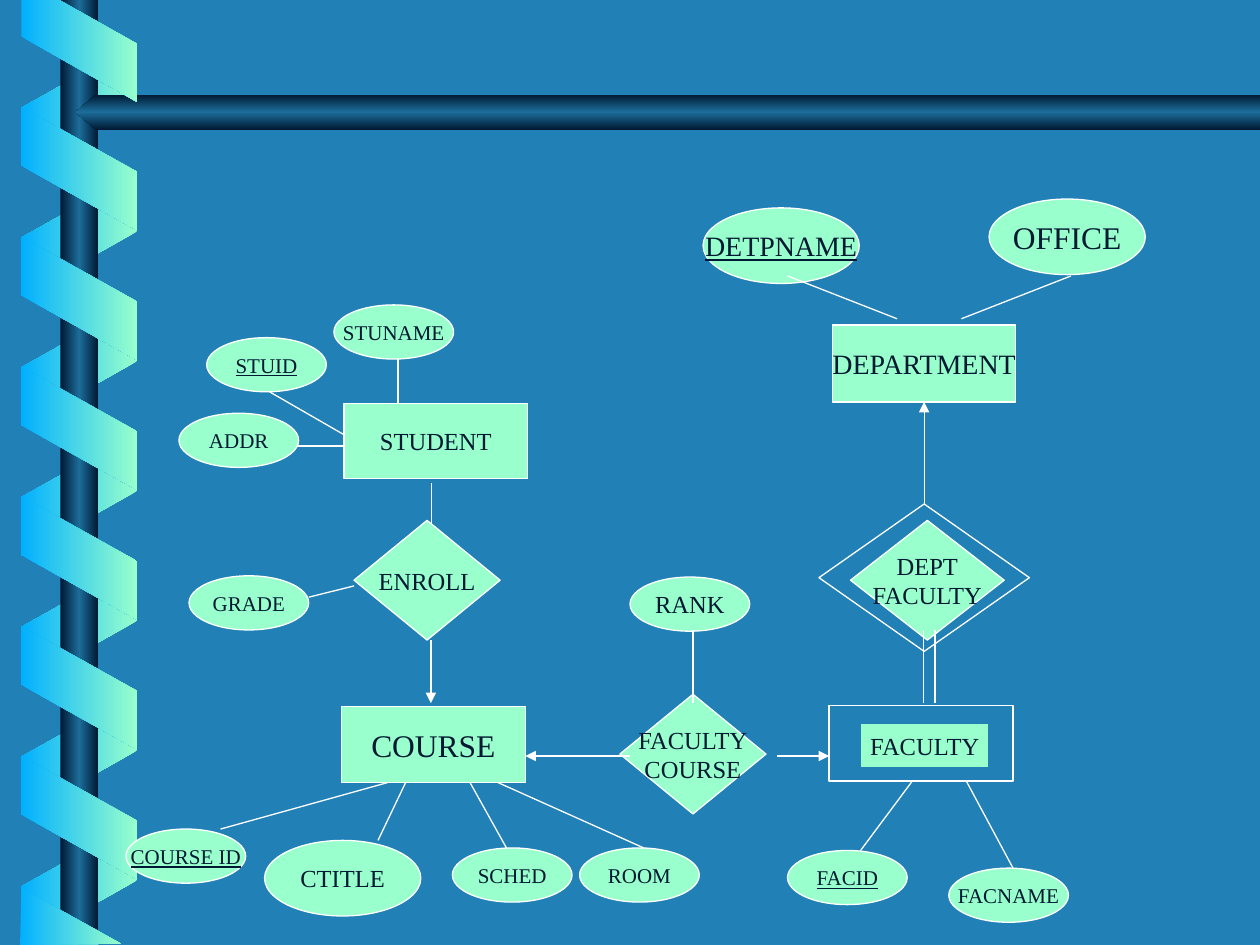
from lxml import etree
from pptx import Presentation
from pptx.dml.color import RGBColor
from pptx.enum.shapes import MSO_CONNECTOR, MSO_SHAPE
from pptx.enum.text import MSO_ANCHOR, PP_ALIGN
from pptx.oxml.ns import qn
from pptx.util import Inches, Pt

ELLIPSE, RECT, DIAMOND = MSO_SHAPE.OVAL, MSO_SHAPE.RECTANGLE, MSO_SHAPE.DIAMOND
PARALLELOGRAM, STRAIGHT = MSO_SHAPE.PARALLELOGRAM, MSO_CONNECTOR.STRAIGHT
CENTER, MIDDLE = PP_ALIGN.CENTER, MSO_ANCHOR.MIDDLE

BLUE = RGBColor(0x21, 0x81, 0xB7)
MINT = RGBColor(0x99, 0xFF, 0xCC)
SKY = RGBColor(0x01, 0xB0, 0xFF)
NAVY = RGBColor(0x00, 0x19, 0x32)
STEEL = RGBColor(0x1C, 0x6D, 0x9A)
WHITE = RGBColor(0xFF, 0xFF, 0xFF)
FONT = "Times New Roman"
WIDTH, HEIGHT = 10, 7.5

# Spiral binding
COIL_STEP = 1.03
COIL_LEFT, COIL_LENGTH, COIL_DEPTH, COIL_SLANT = 0.14, 0.98, 0.92, 0.56
BACK_COILS, FRONT_COILS = 7, 6
TOP_COIL = [(0.17, 0), (0.17, 0.29), (1.09, 0.81), (1.09, 0.35), (0.47, 0)]
BOTTOM_COIL = [(0.96, 7.49), (0.17, 7.05), (0.16, 7.5)]
CROSSBAR = [(10, 0.75), (0.76, 0.75), (0.6, 0.89), (0.76, 1.03), (10, 1.03)]

# Attributes: text, left, top, font size, is key
LARGE, SMALL = (1.24, 0.6), (0.95, 0.43)
ATTRIBUTES = {
    LARGE: [
        ("DETPNAME", 5.58, 1.65, 16, True),
        ("OFFICE", 7.85, 1.58, 18, False),
        ("CTITLE", 2.1, 6.67, 14, False),
    ],
    SMALL: [
        ("STUNAME", 2.65, 2.42, 12, False),
        ("ADDR", 1.42, 3.28, 12, False),
        ("STUID", 1.64, 2.68, 12, True),
        ("GRADE", 1.5, 4.57, 12, False),
        ("FACID", 6.25, 6.75, 12, True),
        ("SCHED", 3.59, 6.73, 12, False),
        ("FACNAME", 7.53, 6.89, 12, False),
        ("COURSE ID", 1, 6.58, 12, True),
        ("ROOM", 4.6, 6.73, 12, False),
        ("RANK", 5, 4.58, 14, False),
    ],
}
ENTITY_SIZE = (1.46, 0.6)
ENTITIES = [("STUDENT", 2.73, 3.2, 14), ("COURSE", 2.71, 5.61, 18)]
# Relationships: text, left, top, width
RELATIONSHIP_HEIGHT = 0.95
RELATIONSHIPS = [
    ("DEPT\nFACULTY", 6.75, 4.13, 1.22),
    ("ENROLL", 2.81, 4.13, 1.16),
    ("FACULTY\nCOURSE", 4.92, 5.51, 1.16),
]
LINKS = [
    ((7.63, 2.53), (8.5, 2.19)),
    ((7.12, 2.53), (6.25, 2.19)),
    ((3.16, 2.85), (3.16, 3.2)),
    ((2.14, 3.11), (2.73, 3.45)),
    ((2.36, 3.54), (2.73, 3.54)),
    ((2.81, 4.65), (2.45, 4.74)),
    ((3.08, 6.21), (1.75, 6.58)),
    ((3.22, 6.21), (3, 6.67)),
    ((3.73, 6.21), (4.02, 6.73)),
    ((3.95, 6.21), (5.11, 6.73)),
    ((6.83, 6.75), (7.24, 6.2)),
    ((7.67, 6.2), (8.04, 6.89)),
    ((5.5, 5), (5.5, 5.58)),
    ((7.42, 5.58), (7.42, 5)),
    ((7.33, 5.58), (7.33, 5)),
]
HAIRLINE_LINK = ((3.42, 4.17), (3.42, 3.83))
ARROWS = [
    ((3.42, 5.08), (3.42, 5.58)),
    ((5, 6), (4.17, 6)),
    ((6.17, 6), (6.58, 6)),
]


def fill_gradient(shape, colors, angle=0):
    """Spread the colours evenly, at an angle that ignores the shape's rotation."""
    shape.shadow.inherit = False
    shape.line.fill.background()
    shape.fill.gradient()
    shape.fill.gradient_angle = angle
    gradient = shape.element.spPr.find(qn("a:gradFill"))
    gradient.set("rotWithShape", "0")
    stops = gradient.find(qn("a:gsLst"))
    for stop in list(stops):
        stops.remove(stop)
    for i, color in enumerate(colors):
        position = str(100000 * i // (len(colors) - 1))
        stop = etree.SubElement(stops, qn("a:gs"), pos=position)
        etree.SubElement(stop, qn("a:srgbClr"), val=str(color))


def add_outline(shapes, corners, colors, angle=0):
    start, *rest = [(Inches(x), Inches(y)) for x, y in corners]
    builder = shapes.build_freeform(*start)
    builder.add_line_segments(rest, close=True)
    fill_gradient(builder.convert_to_shape(), colors, angle)


def add_coil(shapes, top, rotation, colors, flipped=False):
    coil = shapes.add_shape(PARALLELOGRAM, Inches(COIL_LEFT), Inches(top),
                            Inches(COIL_LENGTH), Inches(COIL_DEPTH))
    coil.adjustments[0] = COIL_SLANT
    coil.rotation = rotation
    if flipped:
        coil.element.spPr.find(qn("a:xfrm")).set("flipH", "1")
    fill_gradient(coil, colors)


def add_binding(shapes):
    bar_colors = [NAVY, STEEL, NAVY]
    for i in range(BACK_COILS):
        add_coil(shapes, 0.37 + i * COIL_STEP, 90, [MINT, SKY], flipped=True)
    post = shapes.add_shape(RECT, Inches(0.48), 0, Inches(0.3), Inches(HEIGHT))
    fill_gradient(post, bar_colors)
    add_outline(shapes, CROSSBAR, bar_colors, angle=90)
    for i in range(FRONT_COILS):
        add_coil(shapes, 0.88 + i * COIL_STEP, 270, [SKY, MINT])
    for corners in (TOP_COIL, BOTTOM_COIL):
        add_outline(shapes, corners, [SKY, MINT])


def write(shape, text, size, underline=False):
    frame = shape.text_frame
    frame.word_wrap = False
    frame.vertical_anchor = MIDDLE
    frame.text = text
    for paragraph in frame.paragraphs:
        paragraph.alignment = CENTER
        font = paragraph.runs[0].font
        font.name, font.size, font.color.rgb = FONT, Pt(size), NAVY
        if underline:
            font.underline = True


def add_node(shapes, kind, box, text="", size=14, underline=False,
             fill=MINT, border=WHITE):
    node = shapes.add_shape(kind, *map(Inches, box))
    node.shadow.inherit = False
    node.line.color.rgb, node.line.width = border, Pt(0.75)
    if fill is None:
        node.fill.background()
    else:
        node.fill.solid()
        node.fill.fore_color.rgb = fill
    if text:
        write(node, text, size, underline)
    return node


def add_link(shapes, start, end, width=0.75, arrow=False):
    link = shapes.add_connector(STRAIGHT, *map(Inches, (*start, *end)))
    link.line.color.rgb, link.line.width = WHITE, Pt(width)
    properties = link.element.spPr
    if arrow:
        etree.SubElement(properties.find(qn("a:ln")), qn("a:tailEnd"), type="triangle")
    etree.SubElement(properties, qn("a:effectLst"))
    return link


def main():
    deck = Presentation()
    deck.slide_width, deck.slide_height = Inches(WIDTH), Inches(HEIGHT)
    slide = deck.slides.add_slide(deck.slide_layouts[6])
    slide.background.fill.solid()
    slide.background.fill.fore_color.rgb = BLUE
    shapes = slide.shapes
    add_binding(shapes)

    for extent, attributes in ATTRIBUTES.items():
        for text, left, top, size, is_key in attributes:
            add_node(shapes, ELLIPSE, (left, top, *extent), text, size, is_key)
    for text, left, top, size in ENTITIES:
        add_node(shapes, RECT, (left, top, *ENTITY_SIZE), text, size)
    department = add_node(shapes, RECT, (6.61, 2.58, 1.45, 0.61), "DEPARTMENT", 16)
    add_node(shapes, RECT, (6.58, 5.6, *ENTITY_SIZE), fill=BLUE)
    add_node(shapes, RECT, (6.83, 5.74, 1.02, 0.35), "FACULTY", border=BLUE)
    for text, left, top, width in RELATIONSHIPS:
        add_node(shapes, DIAMOND, (left, top, width, RELATIONSHIP_HEIGHT), text)
    identifying = add_node(shapes, DIAMOND, (6.5, 4, 1.67, 1.17), fill=None)

    for start, end in LINKS:
        add_link(shapes, start, end)
    add_link(shapes, *HAIRLINE_LINK, width=0.25)
    for start, end in ARROWS:
        add_link(shapes, start, end, arrow=True)
    to_department = add_link(shapes, (7.33, 4), (7.33, 3.19), arrow=True)
    to_department.begin_connect(identifying, 0)
    to_department.end_connect(department, 2)

    deck.save("out.pptx")


if __name__ == "__main__":
    main()
